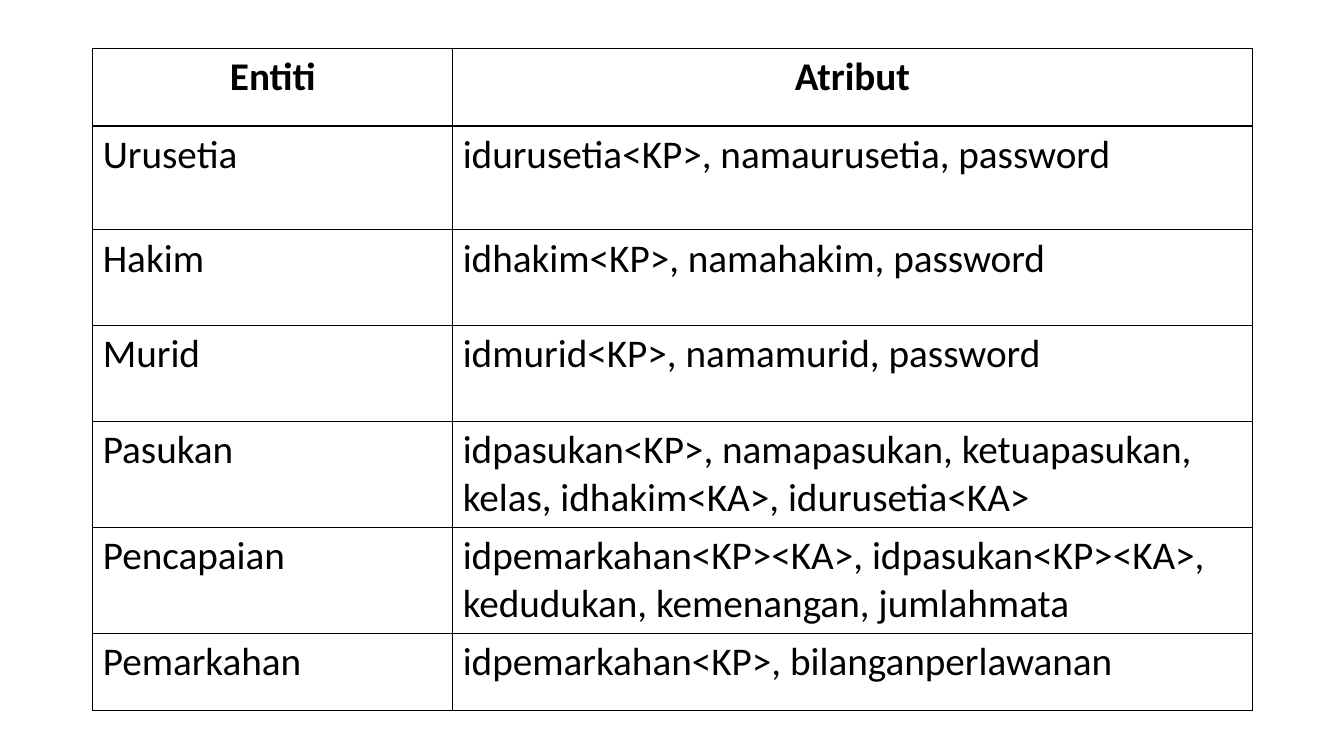
from lxml import etree
from pptx import Presentation
from pptx import util as u
from pptx.dml import color
from pptx.enum import text
from pptx.oxml import ns

BLACK, WHITE = "000000", "FFFFFF"
BORDER_WIDTH = u.Pt(1)
COLUMN_WIDTHS = [3.57, 7.93]
ROW_HEIGHTS = [0.77, 1.03, 0.95, 0.95, 1.05, 1.05, 0.77]
ENTITIES = [
    ("Entiti", "Atribut"),
    ("Urusetia", "idurusetia<KP>, namaurusetia, password"),
    ("Hakim", "idhakim<KP>, namahakim, password"),
    ("Murid", "idmurid<KP>, namamurid, password"),
    ("Pasukan", "idpasukan<KP>, namapasukan, ketuapasukan, kelas, "
                "idhakim<KA>, idurusetia<KA>"),
    ("Pencapaian", "idpemarkahan<KP><KA>, idpasukan<KP><KA>, "
                   "kedudukan, kemenangan, jumlahmata"),
    ("Pemarkahan", "idpemarkahan<KP>, bilanganperlawanan"),
]


def paint(color_format, hex_color):
    color_format.rgb = color.RGBColor.from_string(hex_color)


def add_borders(cell, hex_color):
    properties = cell._tc.get_or_add_tcPr()
    for position, side in enumerate(("lnL", "lnR", "lnT", "lnB")):
        line = etree.Element(ns.qn(f"a:{side}"), w=str(BORDER_WIDTH))
        fill = etree.SubElement(line, ns.qn("a:solidFill"))
        etree.SubElement(fill, ns.qn("a:srgbClr"), val=hex_color)
        properties.insert(position, line)


def format_cell(cell, content, is_header):
    cell.fill.solid()
    paint(cell.fill.fore_color, WHITE)
    add_borders(cell, BLACK)
    paragraph = cell.text_frame.paragraphs[0]
    paragraph.alignment = text.PP_ALIGN.CENTER if is_header else text.PP_ALIGN.LEFT
    run = paragraph.add_run()
    run.text = content
    run.font.name = "Calibri"
    run.font.size = u.Pt(28)
    run.font.bold = is_header
    paint(run.font.color, BLACK)


def add_entity_table(slide, left, top, width, height):
    table = slide.shapes.add_table(
        len(ENTITIES), len(COLUMN_WIDTHS),
        u.Inches(left), u.Inches(top), u.Inches(width), u.Inches(height),
    ).table
    table.horz_banding = False
    for column, share in zip(table.columns, COLUMN_WIDTHS):
        column.width = u.Inches(width * share / sum(COLUMN_WIDTHS))
    for row, share in zip(table.rows, ROW_HEIGHTS):
        row.height = u.Inches(height * share / sum(ROW_HEIGHTS))
    for row_index, entity in enumerate(ENTITIES):
        for column_index, content in enumerate(entity):
            format_cell(table.cell(row_index, column_index), content, row_index == 0)


presentation = Presentation()
presentation.slide_width = u.Inches(13.33)
presentation.slide_height = u.Inches(7.5)
blank_layout = presentation.slide_layouts.get_by_name("Blank")
entity_slide = presentation.slides.add_slide(blank_layout)
add_entity_table(entity_slide, 0.92, 0.48, 11.5, 6.57)
presentation.save("out.pptx")
